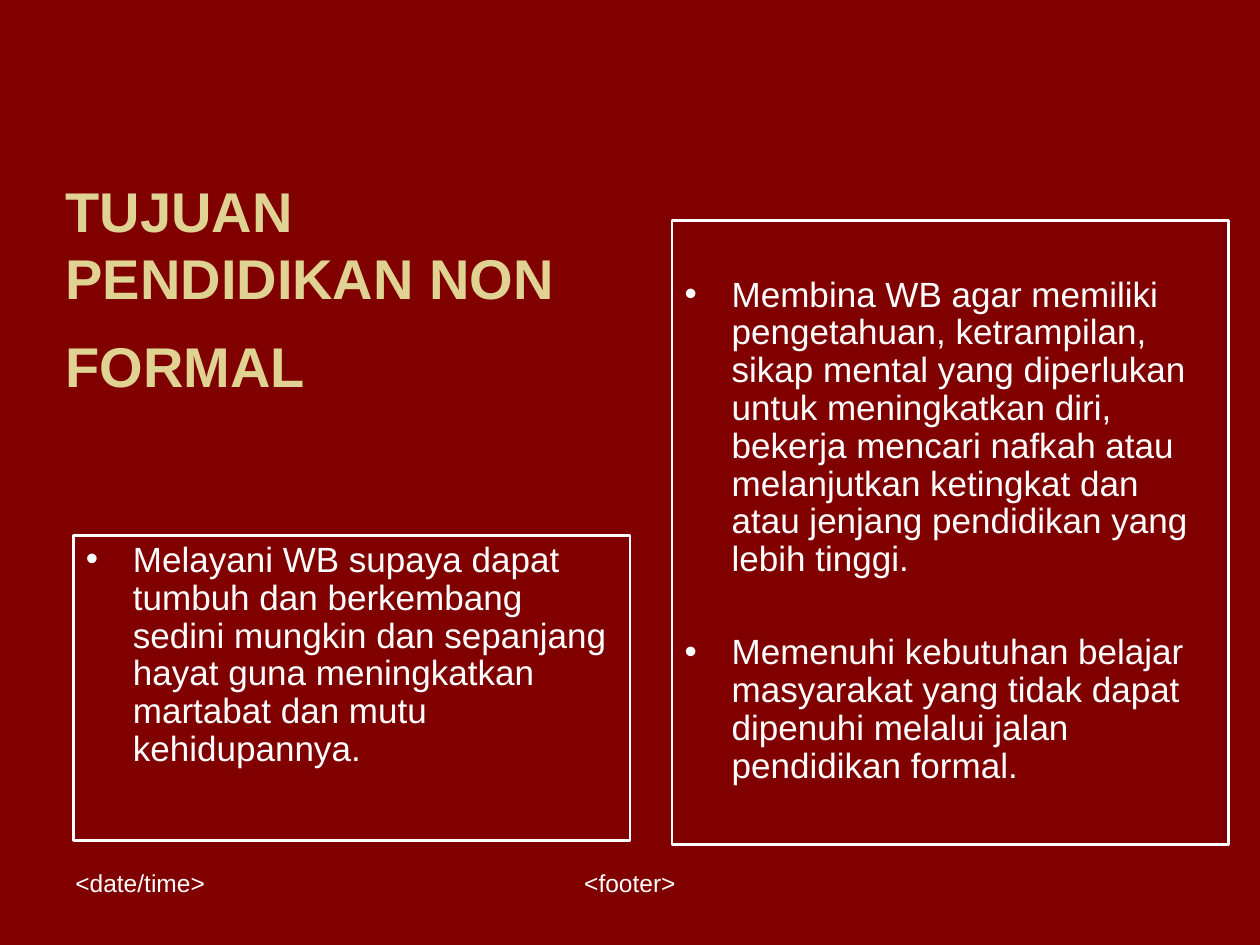
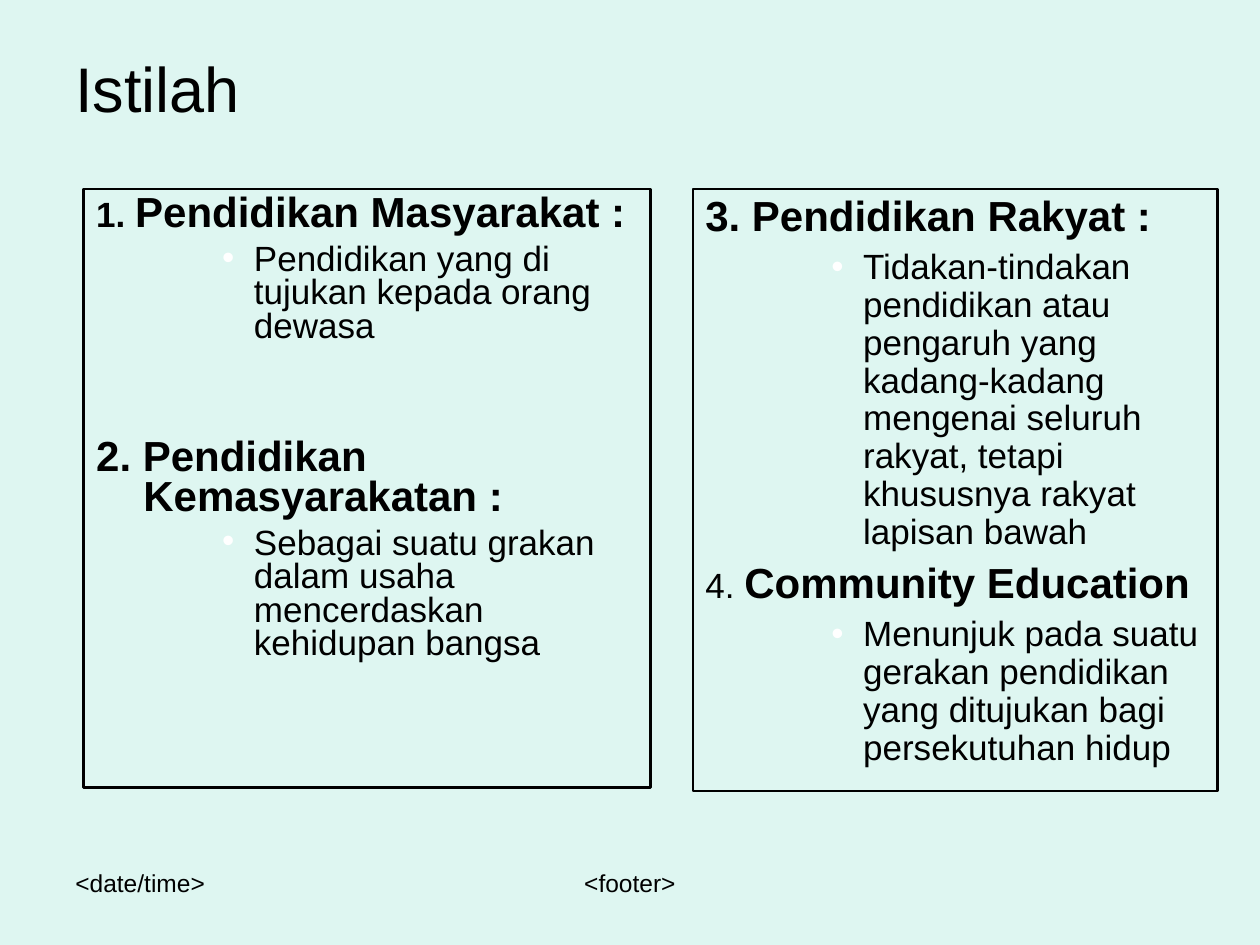
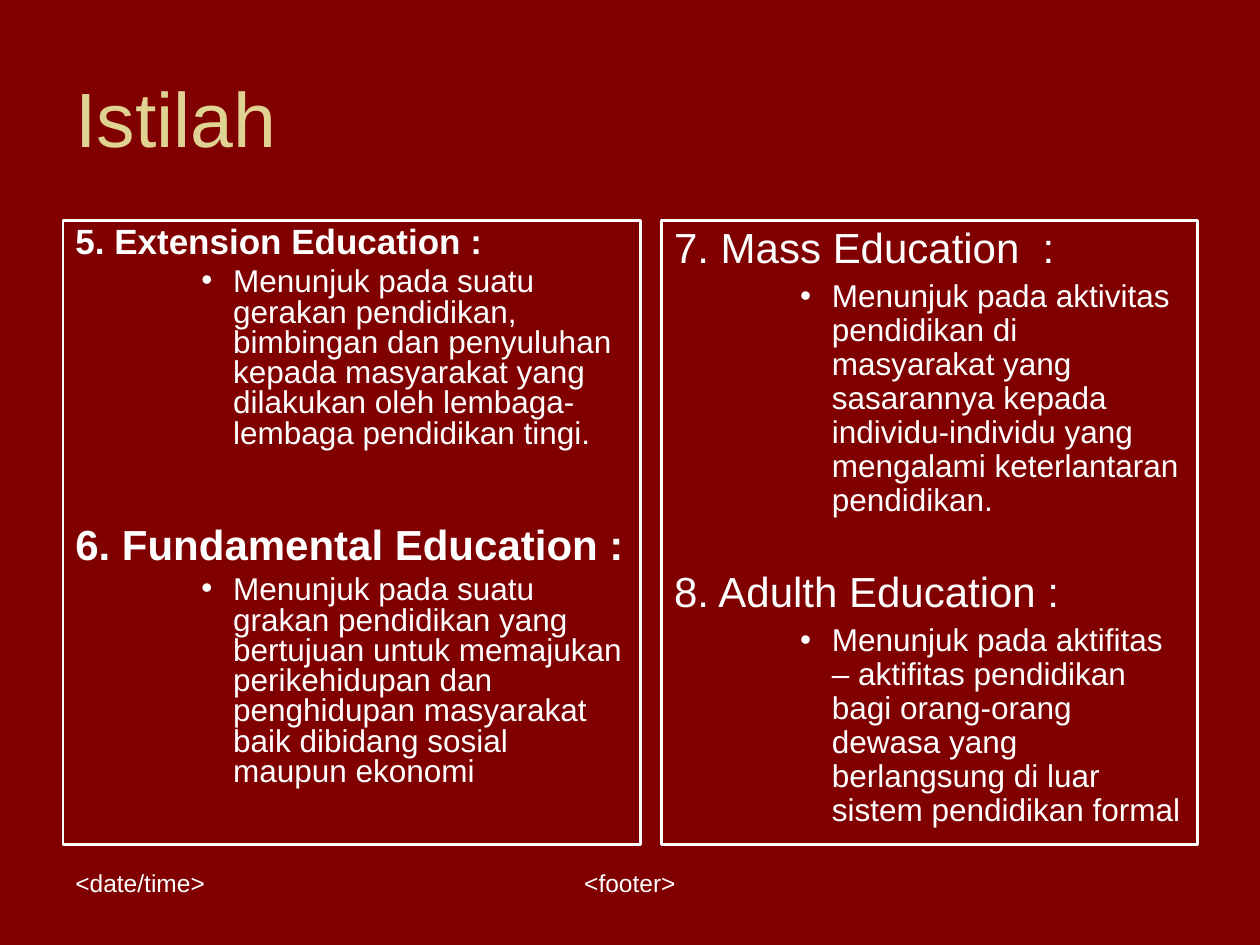
from lxml.etree import SubElement
from pptx import Presentation
from pptx.dml.color import RGBColor
from pptx.enum.shapes import MSO_SHAPE
from pptx.enum.text import MSO_ANCHOR, MSO_AUTO_SIZE, PP_ALIGN
from pptx.oxml.ns import qn
from pptx.util import Cm, Pt

COLORS = {"maroon": "800000", "mint": "DEF6F1", "sand": "DFD293",
          "white": "FFFFFF", "black": "000000"}
THEMES = {
    "dark": {"back": "maroon", "title": "sand", "text": "white"},
    "light": {"back": "mint", "title": "black", "text": "black"},
}
FONT = "Arial"
INDENTS = {"point": (0.95, -0.95), "heading": (0.95, -0.95), "detail": (3.18, -0.64)}
FOOTERS = [
    ("<footer>", (8.68, 17.36, 8.04, 1.32), PP_ALIGN.CENTER),
    ("<date/time>", (1.27, 17.36, 5.93, 1.32), PP_ALIGN.LEFT),
]

SLIDES = [
    {
        "theme": "dark",
        "title": [("TUJUAN \vPENDIDIKAN NON FORMAL", 32, True), (" ", 44, False)],
        "title_at": (1.07, 3.61, 12.5, 4.45),
        "panels": [
            {"at": (1.48, 10.8, 11.22, 6.14), "leading": 0.9, "items": [
                ("point", 5, [("Melayani WB supaya dapat tumbuh dan berkembang sedini mungkin "
                               "dan sepanjang hayat guna meningkatkan martabat dan mutu "
                               "kehidupannya.", 20, False)]),
            ]},
            {"at": (13.55, 4.45, 11.22, 12.57), "leading": 0.9, "top": 1.13, "items": [
                ("point", 5, [("Membina WB agar memiliki pengetahuan, ketrampilan, sikap mental "
                               "yang diperlukan untuk meningkatkan diri, bekerja mencari nafkah "
                               "atau melanjutkan ketingkat dan atau jenjang pendidikan yang "
                               "lebih tinggi.", 20, False)]),
                ("point", 31.6, [("Memenuhi kebutuhan belajar masyarakat yang tidak dapat "
                                  "dipenuhi melalui jalan pendidikan formal.", 20, False)]),
            ]},
        ],
    },
    {
        "theme": "light",
        "title": [("Istilah", 36, False)],
        "title_at": (1.27, 0.76, 22.86, 1.98),
        "panels": [
            {"at": (1.69, 3.81, 11.43, 12.07), "leading": 0.8, "items": [
                ("heading", 5, [("1. ", 20, True), ("Pendidikan Masyarakat :", 24, True)]),
                ("detail", 5, [("Pendidikan yang di tujukan kepada orang dewasa", 20, False)]),
                ("heading", 53.4, [("2. Pendidikan Kemasyarakatan :", 24, True)]),
                ("detail", 5, [("Sebagai suatu grakan dalam usaha mencerdaskan kehidupan "
                                "bangsa", 20, False)]),
            ]},
            {"at": (13.97, 3.81, 10.58, 12.14), "leading": 0.9, "items": [
                ("heading", 5, [("3. Pendidikan Rakyat :", 24, True)]),
                ("detail", 5, [("Tidakan-tindakan pendidikan atau pengaruh yang kadang-kadang "
                                "mengenai seluruh rakyat, tetapi khususnya rakyat lapisan "
                                "bawah", 20, False)]),
                ("heading", 6, [("4. ", 20, False), ("Community Education", 24, True)]),
                ("detail", 5, [("Menunjuk pada suatu gerakan pendidikan yang ditujukan bagi "
                                "persekutuhan hidup", 20, False)]),
            ]},
        ],
    },
    {
        "theme": "dark",
        "title": [("Istilah", 44, False)],
        "title_at": (1.27, 0.76, 22.86, 3.18),
        "panels": [
            {"at": (13.34, 4.45, 10.8, 12.57), "leading": 0.9, "items": [
                ("heading", 6, [("7. Mass Education  :", 24, False)]),
                ("detail", 4.5, [("Menunjuk pada aktivitas pendidikan di masyarakat yang "
                                  "sasarannya kepada individu-individu yang mengalami "
                                  "keterlantaran pendidikan.", 18, False)]),
                ("heading", 30, [("8. Adulth Education :", 24, False)]),
                ("detail", 4.5, [("Menunjuk pada aktifitas – aktifitas pendidikan bagi "
                                  "orang-orang dewasa yang berlangsung di luar sistem "
                                  "pendidikan formal", 18, False)]),
            ]},
            {"at": (1.27, 4.45, 11.64, 12.57), "leading": 0.8, "items": [
                ("heading", 5, [("5. Extension Education :", 20, True)]),
                ("detail", 4.5, [("Menunjuk pada suatu gerakan pendidikan, bimbingan dan "
                                  "penyuluhan kepada masyarakat yang dilakukan oleh "
                                  "lembaga-lembaga pendidikan tingi.", 18, False)]),
                ("heading", 44.7, [("6. Fundamental Education :", 24, True)]),
                ("detail", 4.5, [("Menunjuk pada suatu grakan pendidikan yang bertujuan untuk "
                                  "memajukan perikehidupan dan penghidupan masyarakat baik "
                                  "dibidang sosial maupun ekonomi", 18, False)]),
            ]},
        ],
    },
]


def rgb(color):
    return RGBColor.from_string(COLORS[color])


def write(paragraph, pieces, color, align=PP_ALIGN.LEFT):
    paragraph.text = "" if len(pieces) > 1 else pieces[0][0]
    if len(pieces) > 1:
        paragraph.text = pieces[0][0]
        for words, _, _ in pieces[1:]:
            paragraph.add_run().text = words
    paragraph.alignment = align
    styles = [piece[1:] for piece in pieces]
    lead_runs = len(paragraph.runs) - len(pieces)
    for run, (size, bold) in zip(paragraph.runs, styles[:1] * lead_runs + styles):
        run.font.name = FONT
        run.font.size = Pt(size)
        run.font.bold = bold
        run.font.color.rgb = rgb(color)


def set_frame(frame, anchor, top=0.13):
    frame.word_wrap = True
    frame.auto_size = MSO_AUTO_SIZE.NONE
    frame.vertical_anchor = anchor
    frame.margin_left = frame.margin_right = Cm(0.25)
    frame.margin_top, frame.margin_bottom = Cm(top), Cm(0.13)


def add_bullet(properties):
    bullet_color = SubElement(properties, qn("a:buClr"))
    SubElement(bullet_color, qn("a:srgbClr"), val=COLORS["white"])
    SubElement(properties, qn("a:buFont"), typeface=FONT)
    SubElement(properties, qn("a:buChar"), char="•")


def add_footers(slide, color):
    for words, at, align in FOOTERS:
        footer = slide.shapes.add_textbox(*map(Cm, at)).text_frame
        set_frame(footer, MSO_ANCHOR.TOP)
        write(footer.paragraphs[0], [(words, 14, False)], color, align)


def set_title(slide, pieces, at, color):
    title = slide.shapes.title
    title.left, title.top, title.width, title.height = map(Cm, at)
    set_frame(title.text_frame, MSO_ANCHOR.MIDDLE)
    write(title.text_frame.paragraphs[0], pieces, color)


def add_panel(slide, panel, color):
    box = slide.shapes.add_shape(MSO_SHAPE.RECTANGLE, *map(Cm, panel["at"]))
    box.shadow.inherit = False
    box.fill.background()
    box.line.color.rgb = rgb(color)
    box.line.width = Pt(1.5)
    frame = box.text_frame
    set_frame(frame, MSO_ANCHOR.TOP, panel.get("top", 0.13))
    for index, (role, before, pieces) in enumerate(panel["items"]):
        paragraph = frame.add_paragraph() if index else frame.paragraphs[0]
        write(paragraph, pieces, color)
        paragraph.line_spacing = panel["leading"]
        paragraph.space_before = Pt(before)
        properties = paragraph._p.get_or_add_pPr()
        margin, hanging = INDENTS[role]
        properties.set("marL", str(Cm(margin)))
        properties.set("indent", str(Cm(hanging)))
        if role == "detail":
            paragraph.level = 2
        if role != "heading":
            add_bullet(properties)


def main():
    deck = Presentation()
    deck.slide_width, deck.slide_height = Cm(25.4), Cm(19.05)
    for content in SLIDES:
        theme = THEMES[content["theme"]]
        slide = deck.slides.add_slide(deck.slide_layouts[5])
        slide.background.fill.solid()
        slide.background.fill.fore_color.rgb = rgb(theme["back"])
        add_footers(slide, theme["text"])
        set_title(slide, content["title"], content["title_at"], theme["title"])
        for panel in content["panels"]:
            add_panel(slide, panel, theme["text"])
    deck.save("out.pptx")


if __name__ == "__main__":
    main()
